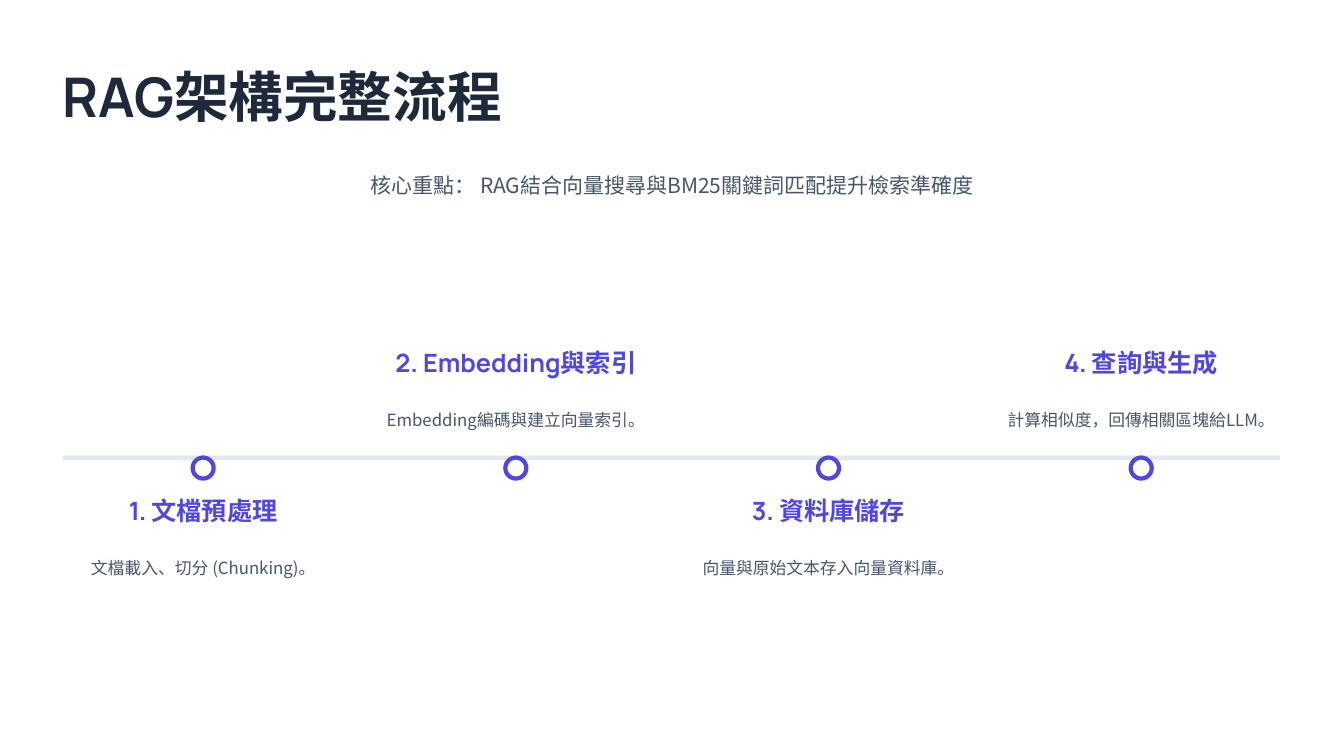
from dataclasses import dataclass

from pptx import Presentation
from pptx import util as u
from pptx.dml import color
from pptx.enum import shapes, text

COLORS = {
    "background": "FFFFFF",
    "title": "1E293B",
    "body": "475569",
    "accent": "4F46E5",
    "axis": "E2E8F0",
}
HEADING_FONT = "Manrope"
BODY_FONT = "Noto Sans CJK TC"
FIRST_CENTER, STEP_GAP = 5.12, 7.88
UPPER_TOP, LOWER_TOP, DETAIL_DROP = 8.76, 12.47, 1.27
DOT_TOP, DOT_SIZE = 11.53, 0.53


@dataclass(frozen=True)
class Style:
    font: str
    size: int
    color: str
    bold: bool = False
    align: text.PP_ALIGN = text.PP_ALIGN.CENTER
    spacing: float = 1.0


@dataclass(frozen=True)
class Step:
    heading: str
    detail: str


TITLE = Style(HEADING_FONT, 39, "title", True, text.PP_ALIGN.LEFT)
SUMMARY = Style(BODY_FONT, 15, "body", spacing=1.6)
STEP_HEADING = Style(HEADING_FONT, 18, "accent", True)
STEP_DETAIL = Style(BODY_FONT, 12, "body", spacing=1.6)

STEPS = [
    Step("1. 文檔預處理", "文檔載入、切分 (Chunking)。"),
    Step("2. Embedding與索引", "Embedding編碼與建立向量索引。"),
    Step("3. 資料庫儲存", "向量與原始文本存入向量資料庫。"),
    Step("4. 查詢與生成", "計算相似度，回傳相關區塊給LLM。"),
]


def rgb(name: str) -> color.RGBColor:
    return color.RGBColor.from_string(COLORS[name])


def add_text(page, words: str, style: Style, left: float, top: float,
             width: float, height: float) -> None:
    box = page.shapes.add_textbox(u.Cm(left), u.Cm(top), u.Cm(width), u.Cm(height))
    frame = box.text_frame
    frame.word_wrap = True
    frame.auto_size = text.MSO_AUTO_SIZE.SHAPE_TO_FIT_TEXT
    frame.margin_left = frame.margin_right = 0
    frame.margin_top = frame.margin_bottom = 0
    para = frame.paragraphs[0]
    para.text = words
    para.alignment = style.align
    para.line_spacing = style.spacing
    para.font.name = style.font
    para.font.size = u.Pt(style.size)
    para.font.bold = style.bold
    para.font.color.rgb = rgb(style.color)


def add_rounded(page, left: float, top: float, width: float, height: float,
                rounding: float, fill: str, outline: str | None = None) -> None:
    shape = page.shapes.add_shape(
        shapes.MSO_SHAPE.ROUNDED_RECTANGLE,
        u.Cm(left), u.Cm(top), u.Cm(width), u.Cm(height))
    shape.shadow.inherit = False
    shape.adjustments[0] = rounding
    shape.fill.solid()
    shape.fill.fore_color.rgb = rgb(fill)
    if outline:
        shape.line.color.rgb = rgb(outline)
        shape.line.width = u.Pt(3)
    else:
        shape.line.fill.background()


def add_step(page, index: int, step: Step) -> None:
    center = FIRST_CENTER + index * STEP_GAP
    top = UPPER_TOP if index % 2 else LOWER_TOP
    heading_width, detail_width = 7.42, 7.06
    add_text(page, step.heading, STEP_HEADING,
             center - heading_width / 2, top, heading_width, 0.85)
    add_text(page, step.detail, STEP_DETAIL,
             center - detail_width / 2, top + DETAIL_DROP, detail_width, 0.68)
    add_rounded(page, center - DOT_SIZE / 2, DOT_TOP, DOT_SIZE, DOT_SIZE,
                0.5, "background", "accent")


def main() -> None:
    deck = Presentation()
    deck.slide_width, deck.slide_height = u.Cm(33.87), u.Cm(19.05)
    page = deck.slides.add_slide(deck.slide_layouts[6])
    page.background.fill.solid()
    page.background.fill.fore_color.rgb = rgb("background")

    add_rounded(page, 1.58, 11.48, 30.68, 0.11, 0.17, "axis")
    for index, step in enumerate(STEPS):
        add_step(page, index, step)
    add_text(page, "RAG架構完整流程", TITLE, 1.58, 1.58, 32.23, 1.85)
    add_text(page, "核心重點： RAG結合向量搜尋與BM25關鍵詞匹配提升檢索準確度",
             SUMMARY, 9.25, 3.96, 15.37, 0.85)
    deck.save("out.pptx")


if __name__ == "__main__":
    main()
